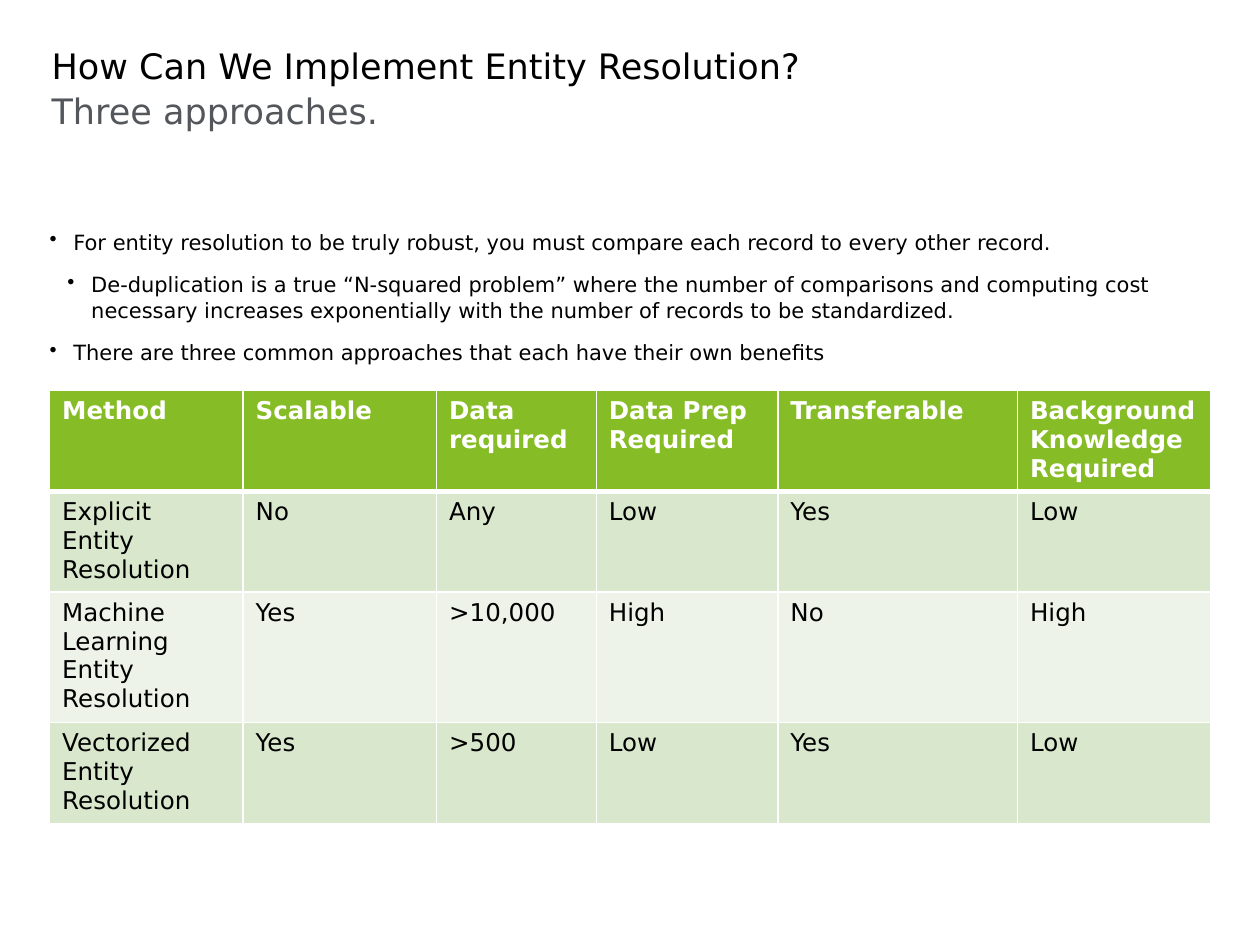
from lxml import etree
from pptx import Presentation
from pptx.dml.color import RGBColor
from pptx.enum.text import MSO_ANCHOR
from pptx.oxml.ns import qn
from pptx.util import Cm, Pt

TOP = MSO_ANCHOR.TOP

THEME = {
    "font": "DejaVu Sans",
    "heading_size": 20, "bullet_size": 12, "table_size": 14,
    "black": "000000", "grey": "53565A", "white": "FFFFFF",
    "header": "86BC25", "bands": ["D9E7CD", "EDF3E8"],
}


def format_runs(text_frame, size, color, bold=False):
    for paragraph in text_frame.paragraphs:
        for run in paragraph.runs:
            run.font.name = THEME["font"]
            run.font.size = Pt(size)
            run.font.bold = bold
            run.font.color.rgb = RGBColor.from_string(color)


def add_text(left, top, width, height, lines, size, color):
    text_frame = slide.shapes.add_textbox(
        Cm(left), Cm(top), Cm(width), Cm(height)).text_frame
    text_frame.word_wrap = True
    text_frame.vertical_anchor = TOP
    text_frame.margin_left = text_frame.margin_right = 0
    text_frame.margin_top = text_frame.margin_bottom = 0
    text_frame.text = "\n".join(lines)
    for paragraph in text_frame.paragraphs:
        paragraph.space_after = Pt(10)
    format_runs(text_frame, size, color)
    return text_frame


presentation = Presentation()
presentation.slide_width = Cm(25.4)
presentation.slide_height = Cm(19.05)
slide = presentation.slides.add_slide(presentation.slide_layouts[6])

# Title and subtitle
add_text(1.04, 0.89, 23.34, 0.94, ["How Can We Implement Entity Resolution?"],
         THEME["heading_size"], THEME["black"])
add_text(1.04, 1.8, 23.34, 2.1, ["Three approaches."],
         THEME["heading_size"], THEME["grey"])

# Bullets: level and text
bullets = [
    (0, "For entity resolution to be truly robust, you must compare each "
        "record to every other record."),
    (1, "De-duplication is a true “N-squared problem” where the number of "
        "comparisons and computing cost necessary increases exponentially "
        "with the number of records to be standardized."),
    (0, "There are three common approaches that each have their own benefits"),
]
bullet_frame = add_text(1, 4.62, 23.4, 3.7, [text for level, text in bullets],
                        THEME["bullet_size"], THEME["black"])
for paragraph, (level, text) in zip(bullet_frame.paragraphs, bullets):
    paragraph.level = level
    properties = paragraph._p.get_or_add_pPr()
    properties.set("marL", str(Cm(0.48 + 0.36 * level)))
    properties.set("indent", str(-Cm(0.48)))
    etree.SubElement(properties, qn("a:buChar")).set("char", "•")

# Comparison table
rows = [
    ["Method", "Scalable", "Data required", "Data Prep Required",
     "Transferable", "Background Knowledge Required"],
    ["Explicit Entity Resolution", "No", "Any", "Low", "Yes", "Low"],
    ["Machine Learning Entity Resolution", "Yes", ">10,000", "High", "No", "High"],
    ["Vectorized Entity Resolution", "Yes", ">500", "Low", "Yes", "Low"],
]
column_widths = [3.9, 3.9, 3.22, 3.66, 4.83, 3.9]
row_height = 1.04
table = slide.shapes.add_table(
    len(rows), len(column_widths), Cm(1), Cm(7.87),
    Cm(sum(column_widths)), Cm(row_height * len(rows))).table
for column, width in zip(table.columns, column_widths):
    column.width = Cm(width)

for row_index, row in enumerate(rows):
    is_header = row_index == 0
    fill = THEME["header"] if is_header else THEME["bands"][(row_index - 1) % 2]
    border_widths = {"L": 1, "R": 1, "T": 3 if row_index == 1 else 1,
                     "B": 3 if is_header else 1}
    for column_index, text in enumerate(row):
        cell = table.cell(row_index, column_index)
        cell.text_frame.text = text
        format_runs(cell.text_frame, THEME["table_size"],
                    THEME["white"] if is_header else THEME["black"], is_header)
        # Cell borders come before the fill
        cell_properties = cell._tc.get_or_add_tcPr()
        for side, width in border_widths.items():
            line = etree.SubElement(cell_properties, qn("a:ln" + side))
            line.set("w", str(Pt(width)))
            solid_fill = etree.SubElement(line, qn("a:solidFill"))
            etree.SubElement(solid_fill, qn("a:srgbClr")).set("val", THEME["white"])
        cell.fill.solid()
        cell.fill.fore_color.rgb = RGBColor.from_string(fill)

presentation.save("out.pptx")
